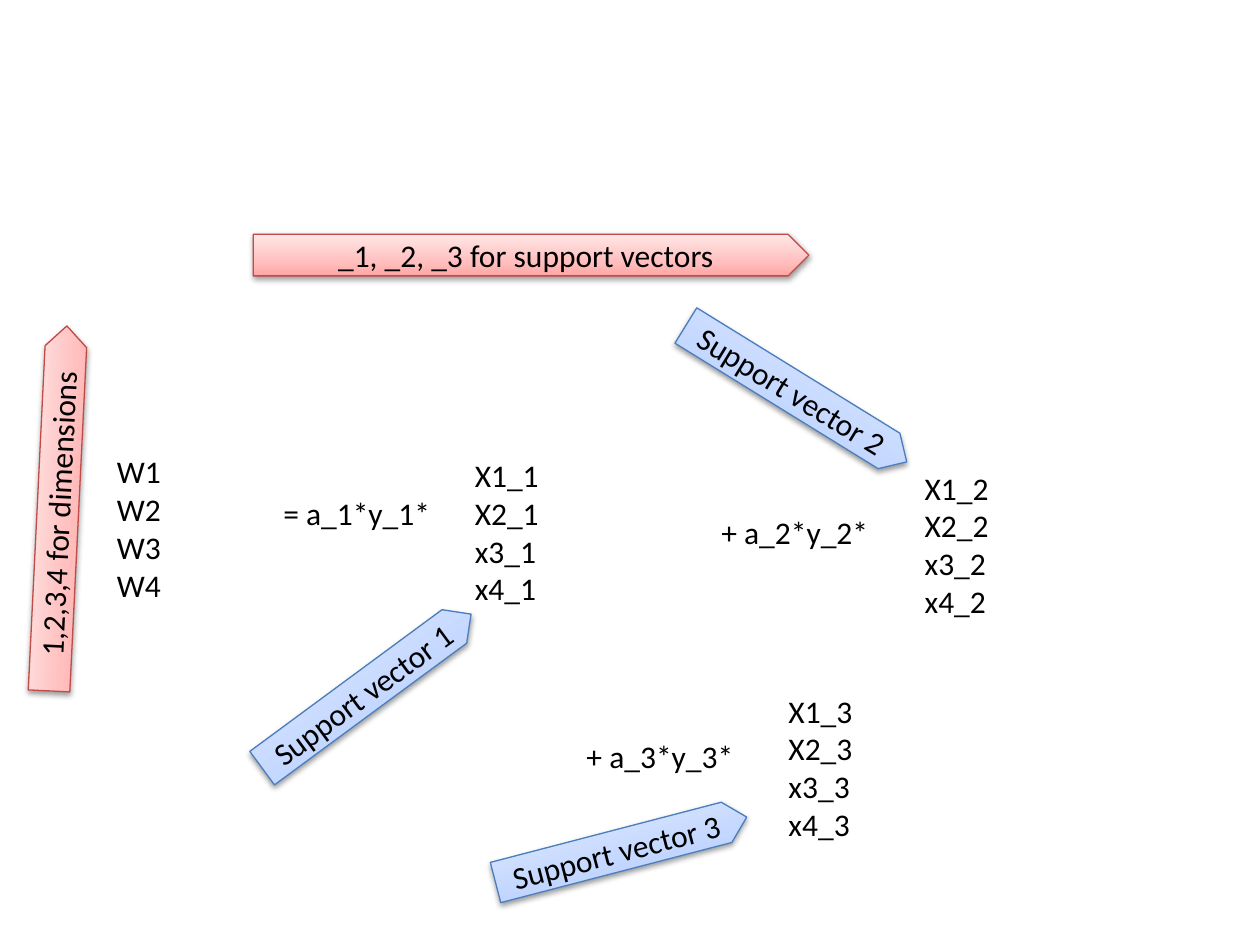
from lxml.etree import SubElement
from pptx import Presentation
from pptx.dml.color import RGBColor
from pptx.enum.shapes import MSO_SHAPE as Shape
from pptx.enum.text import MSO_ANCHOR as Anchor, MSO_AUTO_SIZE as AutoSize, PP_ALIGN as Align
from pptx.oxml.ns import qn
from pptx.util import Inches, Pt

COLORS = {
    "text": "000000",
    "blue": ("A4C4FF", "BFD4FF", "E6EEFF"),
    "blue_line": "4B7EBC",
    "red": ("FFA6A5", "FFC0BF", "FFE7E7"),
    "red_line": "BF4C48",
}
STOPS = (0, 35000, 100000)
COLUMNS, ROWS = 100, 75


def write_text(frame, text, font="Calibri", size=18, color=COLORS["text"], align=Align.LEFT):
    for index, line in enumerate(text.split("\n")):
        para = frame.paragraphs[0] if index == 0 else frame.add_paragraph()
        para.alignment = align
        span = para.add_run()
        span.text = line
        span.font.name = font
        span.font.size = Pt(size)
        span.font.color.rgb = RGBColor.from_string(color)


def add_color(parent, color):
    return SubElement(parent, qn("a:srgbClr"), val=color)


class VectorSlide:
    def __init__(self, deck):
        self.page = deck.slides.add_slide(deck.slide_layouts[6])
        self.column = deck.slide_width / COLUMNS
        self.row = deck.slide_height / ROWS

    def place(self, left, top, width, height):
        return (round(left * self.column), round(top * self.row),
                round(width * self.column), round(height * self.row))

    def label(self, text, left, top, width, height):
        box = self.page.shapes.add_textbox(*self.place(left, top, width, height))
        box.text_frame.word_wrap = True
        box.text_frame.auto_size = AutoSize.SHAPE_TO_FIT_TEXT
        write_text(box.text_frame, text)

    def components(self, names, left, top, width=11):
        self.label("\n".join(names), left, top, width, 13.1)

    def factor(self, text, left, top):
        self.label(text, left, top, 14.8, 4)

    def arrow(self, text, left, top, width=20.6, rotation=0, tone="blue"):
        box = self.page.shapes.add_shape(Shape.PENTAGON, *self.place(left, top, width, 3.3))
        box.rotation = rotation
        self.gradient(box, COLORS[tone])
        box.line.color.rgb = RGBColor.from_string(COLORS[tone + "_line"])
        box.line.width = Pt(0.75)
        self.shadow(box)
        box.text_frame.vertical_anchor = Anchor.MIDDLE
        write_text(box.text_frame, text, align=Align.CENTER)

    def gradient(self, box, colors):
        box.fill.gradient()
        box.fill.gradient_angle = 90
        stops = box.element.spPr.find(qn("a:gradFill")).find(qn("a:gsLst"))
        for stop in list(stops):
            stops.remove(stop)
        for position, color in zip(STOPS, colors):
            add_color(SubElement(stops, qn("a:gs"), pos=str(position)), color)

    def shadow(self, box):
        box.shadow.inherit = False
        effects = box.element.spPr.find(qn("a:effectLst"))
        outer = SubElement(effects, qn("a:outerShdw"), blurRad="40000", dist="20000",
                           dir="5400000", rotWithShape="0")
        SubElement(add_color(outer, "000000"), qn("a:alpha"), val="38000")


def main():
    deck = Presentation()
    deck.slide_width, deck.slide_height = Inches(10), Inches(7.5)
    slide = VectorSlide(deck)

    slide.components([f"W{number}" for number in range(1, 5)], 8.3, 35.4, width=6.7)
    terms = [
        ("=", (36.7, 35.7), (21.5, 38.7), (18.8, 53.2), 323.6),
        (" +", (72.4, 36.7), (55.7, 40.2), (52.9, 29.6), 31.7),
        (" +", (61.6, 54.4), (45, 58), (39, 65.8), 345.4),
    ]
    for vector, (sign, names_at, factor_at, arrow_at, rotation) in enumerate(terms, 1):
        names = [f"{name}_{vector}" for name in ("X1", "X2", "x3", "x4")]
        slide.components(names, *names_at)
        slide.factor(f"{sign} a_{vector}*y_{vector}*", *factor_at)
        slide.arrow(f"Support vector {vector}", *arrow_at, rotation=rotation)

    slide.arrow("1,2,3,4 for dimensions", -9.9, 38.7, width=29, rotation=272.8, tone="red")
    slide.arrow("_1, _2, _3 for support vectors", 20.1, 18.6, width=44.1, tone="red")
    deck.save("out.pptx")


if __name__ == "__main__":
    main()
